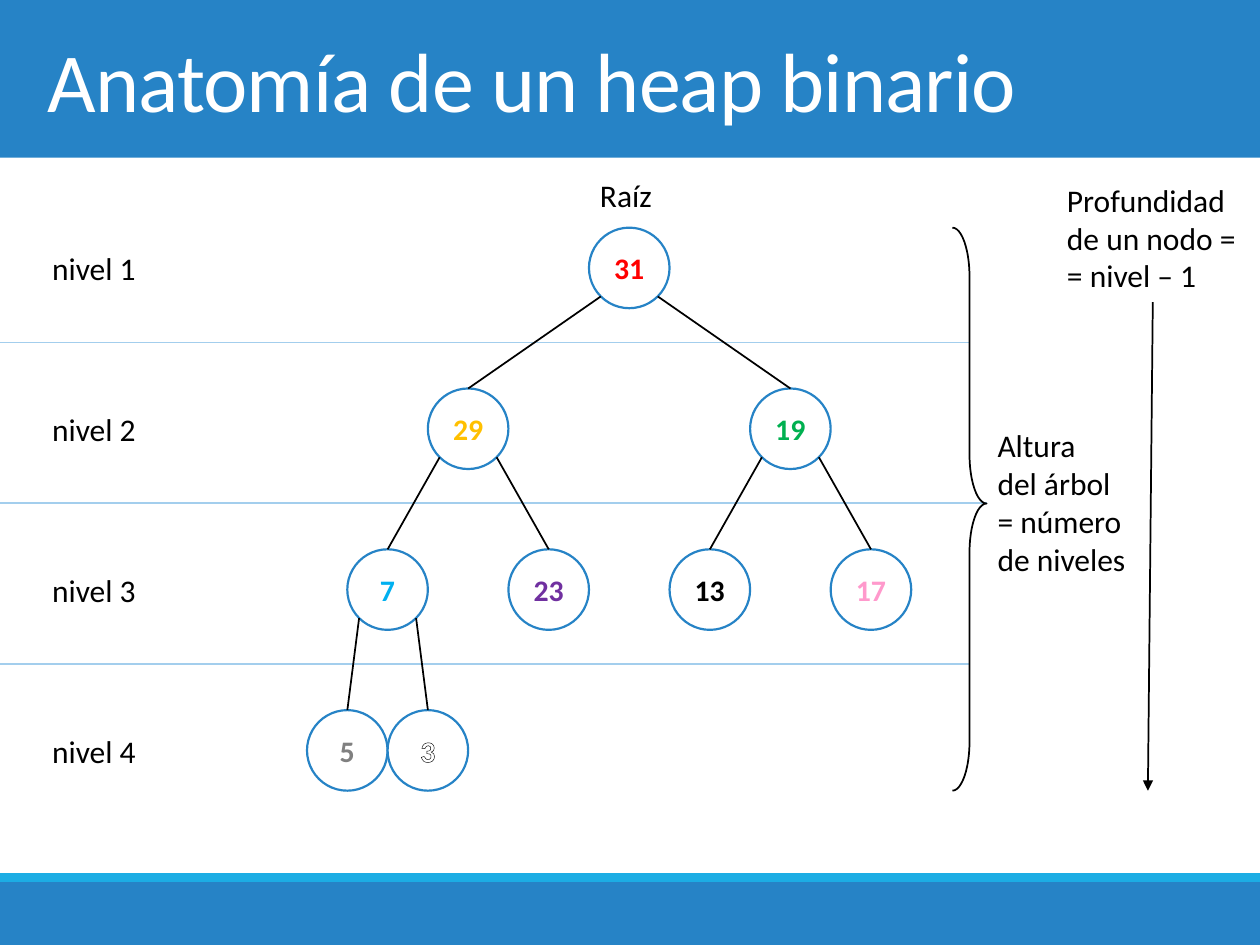
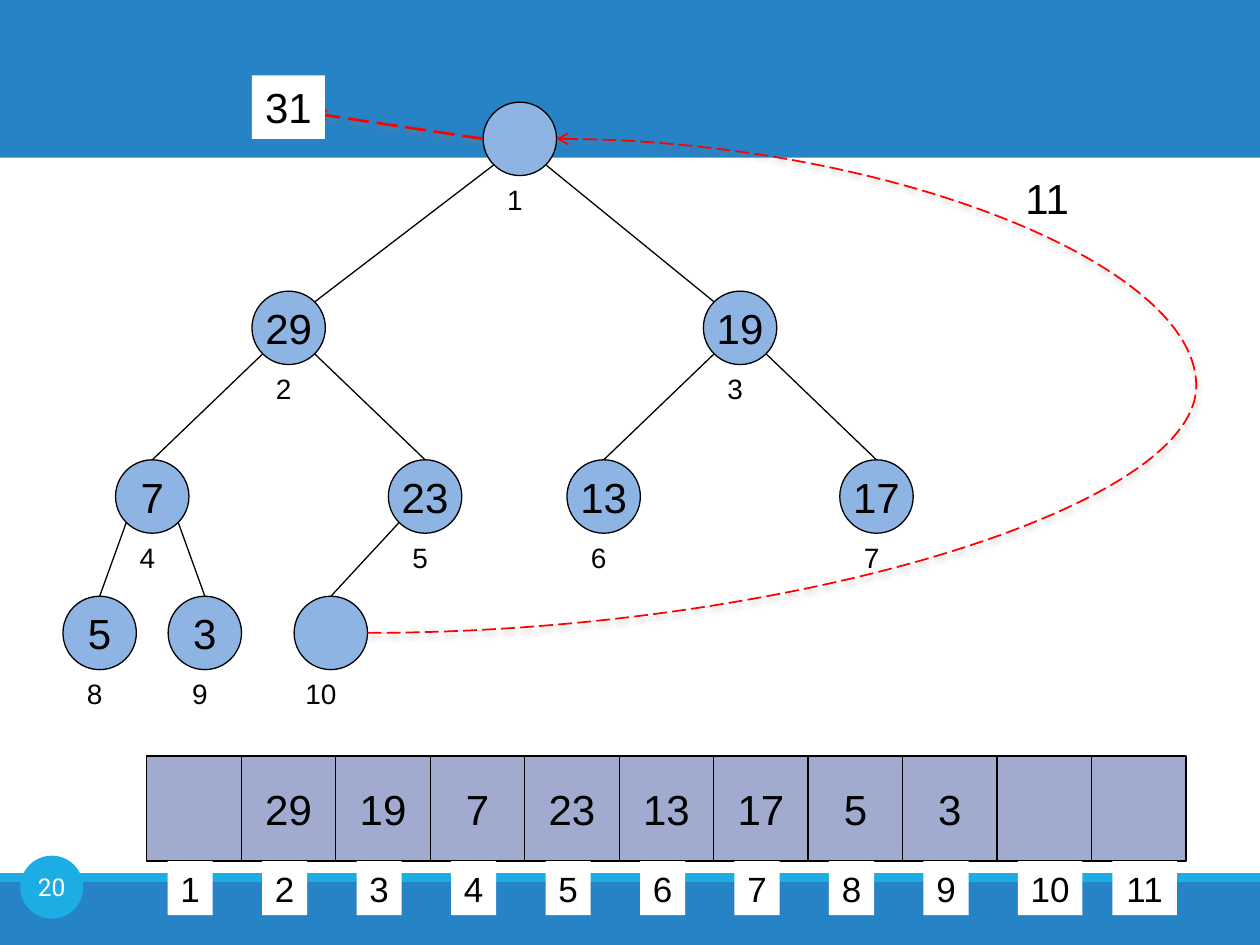
from collections import namedtuple
from math import sqrt

from lxml import etree
from pptx import Presentation
from pptx import util as u
from pptx.dml.color import RGBColor
from pptx.enum import dml, shapes, text
from pptx.oxml.ns import qn

# Shared colours and fonts
WHITE = RGBColor(0xFF, 0xFF, 0xFF)
BLACK = RGBColor(0, 0, 0)
BLUE = RGBColor(0x26, 0x83, 0xC6)
CYAN = RGBColor(0x1C, 0xAD, 0xE4)
LEVEL_BLUE = RGBColor(0xA3, 0xCE, 0xED)
NODE_BLUE = RGBColor(0x8E, 0xB4, 0xE3)
CELL_BLUE = RGBColor(0xA1, 0xAB, 0xD0)
RED = RGBColor(0xFF, 0, 0)
GREEN = RGBColor(0, 0xB0, 0x50)
AMBER = RGBColor(0xFF, 0xC0, 0)
SKY = RGBColor(0, 0xB0, 0xF0)
PURPLE = RGBColor(0x70, 0x30, 0xA0)
PINK = RGBColor(0xFF, 0x99, 0xCC)
GREY = RGBColor(0x80, 0x80, 0x80)
BODY_FONT, DIAGRAM_FONT, NUMBER_FONT = "Calibri", "Arial", "Roboto"

CENTER = text.PP_ALIGN.CENTER
MIDDLE = text.MSO_ANCHOR.MIDDLE
OVAL = shapes.MSO_SHAPE.OVAL
RECTANGLE = shapes.MSO_SHAPE.RECTANGLE
STRAIGHT = shapes.MSO_CONNECTOR.STRAIGHT
CURVE = shapes.MSO_CONNECTOR.CURVE

Box = namedtuple("Box", "left top width height")  # centimetres
Node = namedtuple("Node", "x y label color")  # centre in centimetres
SLIDE = Box(0, 0, 25.4, 19.05)


def cm(*lengths):
    return [u.Cm(length) for length in lengths]


def write(frame, content, size=18, font=BODY_FONT, color=BLACK, bold=False,
          align=None, anchor=None, wrap=False, inset=None):
    """Fill a text frame, one paragraph for each line of content."""
    frame.word_wrap = wrap
    frame.vertical_anchor = anchor
    if inset is not None:
        frame.margin_left = frame.margin_right = u.Cm(inset)
        frame.margin_top = frame.margin_bottom = u.Cm(inset)
    for number, line in enumerate(content.split("\n")):
        para = frame.add_paragraph() if number else frame.paragraphs[0]
        para.alignment = align
        span = para.add_run()
        span.text = line
        span.font.size, span.font.name = u.Pt(size), font
        span.font.color.rgb, span.font.bold = color, bold
    return frame.paragraphs[0].runs[0]


def add_text(page, box, content, **style):
    return write(page.shapes.add_textbox(*cm(*box)).text_frame, content, **style)


def add_figure(page, kind, box, fill=None, line=None, width=0.75):
    figure = page.shapes.add_shape(kind, *cm(*box))
    figure.shadow.inherit = False
    if fill is None:
        figure.fill.background()
    else:
        figure.fill.solid()
        figure.fill.fore_color.rgb = fill
    if line is None:
        figure.line.fill.background()
    else:
        figure.line.color.rgb = line
        figure.line.width = u.Pt(width)
    return figure


def add_label(page, box, content, **style):
    """A white rectangle with text."""
    label = add_figure(page, RECTANGLE, box, fill=WHITE)
    write(label.text_frame, content, align=CENTER, anchor=MIDDLE, **style)


def add_line(page, start, end, color=BLACK, width=1, kind=STRAIGHT, arrow=None,
             dashed=False, shadow=False):
    line = page.shapes.add_connector(kind, *cm(*start, *end))
    line.line.color.rgb = color
    line.line.width = u.Pt(width)
    if dashed:
        line.line.dash_style = dml.MSO_LINE.LONG_DASH
    properties = line.element.spPr
    if arrow:
        etree.SubElement(properties.find(qn("a:ln")), qn("a:tailEnd"), type=arrow)
    effects = etree.SubElement(properties, qn("a:effectLst"))
    if shadow:
        cast = etree.SubElement(effects, qn("a:outerShdw"), blurRad=str(u.Pt(3)),
                                dist=str(u.Pt(2)), dir="5400000", rotWithShape="0")
        tint = etree.SubElement(cast, qn("a:srgbClr"), val=str(GREY))
        etree.SubElement(tint, qn("a:alpha"), val="50000")
    return line


def outline_text(span, color, width):
    """Draw a line around the glyphs of a run."""
    properties = span.font.fill and span.font.color and span._r.get_or_add_rPr()
    line = etree.Element(qn("a:ln"), w=str(u.Pt(width)))
    fill = etree.SubElement(line, qn("a:solidFill"))
    etree.SubElement(fill, qn("a:srgbClr"), val=str(color))
    properties.insert(0, line)


def add_bands(page, box):
    """Header band, footer band and the thin strip above the footer."""
    for top, height, color in ((0, 3.18, BLUE), (17.78, 1.27, BLUE),
                               (17.6, 0.18, CYAN)):
        band = Box(box.left, box.top + top, box.width, height)
        add_figure(page, RECTANGLE, band, fill=color)


def add_title(page, box, content):
    span = add_text(page, box, content, size=48, color=WHITE, anchor=MIDDLE, wrap=True)
    span._r.get_or_add_rPr().set("spc", "-50")


def add_tree(page, nodes, diameter, fill, line, width, edge_width, text_style,
             side_joins=()):
    """Draw a heap in array order: the parent of node i is node i // 2."""
    corner = diameter / 2 / sqrt(2)
    spans = []
    for number, node in enumerate(nodes, 1):
        box = Box(node.x - diameter / 2, node.y - diameter / 2, diameter, diameter)
        circle = add_figure(page, OVAL, box, fill, line, width)
        if node.label:
            spans.append(write(circle.text_frame, node.label, color=node.color,
                               align=CENTER, anchor=MIDDLE, inset=0, **text_style))
        if number == 1:
            continue
        parent = nodes[number // 2 - 1]
        side = 1 if number % 2 else -1
        end = (node.x, node.y - diameter / 2)
        if number in side_joins:
            end = (node.x - side * corner, node.y - corner)
        start = (parent.x + side * corner, parent.y + corner)
        add_line(page, start, end, width=edge_width)
    return spans


def add_anatomy(page, box):
    """Heap on a grid of 15 half-node columns, with a row for each level."""
    columns = (8, 4, 12, 2, 6, 10, 14, 1, 3)
    values = (("31", RED), ("29", AMBER), ("19", GREEN), ("7", SKY),
              ("23", PURPLE), ("13", BLACK), ("17", PINK), ("5", GREY), ("3", WHITE))
    unit = box.width / 15
    diameter = 2 * unit
    step = (box.height - diameter) / 3
    rows = [box.top + unit + level * step for level in range(4)]

    # Level names and dividers
    for level, y in enumerate(rows):
        add_text(page, Box(0.8, y - 0.5, 2.21, 1.02), f"nivel {level + 1}")
        if level < 3:
            reach = 19.89 if level == 1 else 19.56
            add_line(page, (0, y + 1.5), (reach, y + 1.5), LEVEL_BLUE)

    # Nodes
    nodes = [Node(box.left + column * unit, rows[number.bit_length() - 1], *value)
             for number, (column, value) in enumerate(zip(columns, values), 1)]
    spans = add_tree(page, nodes, diameter, WHITE, BLUE, 1.25, 1,
                     dict(size=17, bold=True))
    outline_text(spans[-1], BLACK, 0.75)
    add_text(page, Box(nodes[0].x - 0.84, box.top - 1.17, 1.57, 1.02), "Raíz")


def add_measures(page, box):
    """Brace for the height of the tree and arrow for the depth of a node."""
    brace = add_figure(page, shapes.MSO_SHAPE.RIGHT_BRACE,
                       Box(box.left, box.top, 0.69, box.height), line=BLACK, width=1)
    brace.adjustments[0], brace.adjustments[1] = 1.44, 0.49
    add_text(page, Box(box.left + 0.66, box.top + 3.88, 3.12, 3.33),
             "Altura\ndel árbol\n= número\nde niveles")
    add_text(page, Box(box.left + 2.06, box.top - 1.07, 3.96, 2.57),
             "Profundidad\nde un nodo =\n= nivel – 1")
    add_line(page, (box.left + 4.04, box.top + 1.5),
             (box.left + 3.94, box.top + box.height), arrow="triangle")


def add_extraction(page, box):
    """Numbered heap whose root leaves and whose last node takes its place."""
    columns = (9.21, 4.55, 13.65, 1.8, 7.3, 10.9, 16.4, 0.74, 2.86, 5.4)
    rows = (0.74, 4.55, 7.95, 10.7)
    labels = ("", "29", "19", "7", "23", "13", "17", "5", "3", "")
    diameter = 1.48
    radius = diameter / 2
    nodes = [Node(box.left + x, box.top + rows[number.bit_length() - 1], label, BLACK)
             for number, (x, label) in enumerate(zip(columns, labels), 1)]
    add_tree(page, nodes, diameter, NODE_BLUE, BLACK, 0.75, 0.75,
             dict(size=24, font=DIAGRAM_FONT), side_joins=(2, 3))

    # Positions under the nodes
    for number, node in enumerate(nodes, 1):
        digits = len(str(number))
        width = 0.54 + 0.3 * digits
        place = Box(node.x - 0.1 * digits - width / 2, node.y + radius + 0.02, width, 0.94)
        add_text(page, place, str(number), size=16, font=DIAGRAM_FONT, align=CENTER)

    # Moves: the root goes out, the last node goes up
    root, last = nodes[0], nodes[-1]
    add_line(page, (root.x - radius, root.y), (box.left + 5.08, box.top + 0.23), RED,
             1.5, arrow="arrow", dashed=True, shadow=True)
    curve = add_line(page, (last.x + radius, last.y), (root.x + radius, root.y), RED,
                     kind=CURVE, arrow="arrow", dashed=True, shadow=True)
    guides = curve.element.spPr.find(qn("a:prstGeom")).get_or_add_avLst()
    etree.SubElement(guides, qn("a:gd"), name="adj1", fmla="val 438500")
    add_label(page, Box(box.left + 3.81, box.top - 0.54, 1.47, 1.28), "31",
              size=24, font=DIAGRAM_FONT)
    add_text(page, Box(box.left + 19.15, box.top + 1.29, 1.4, 1.28), "11",
             size=24, font=DIAGRAM_FONT)


def add_array(page, box, values):
    """A row of equal cells with their positions below."""
    width = box.width / len(values)
    for number, value in enumerate(values, 1):
        left = box.left + (number - 1) * width
        cell = add_figure(page, RECTANGLE, Box(left, box.top, width, box.height),
                          CELL_BLUE, BLACK)
        if value:
            write(cell.text_frame, value, size=24, font=DIAGRAM_FONT,
                  align=CENTER, anchor=MIDDLE)
        label_width = 0.52 + 0.39 * len(str(number))
        add_label(page, Box(left + 0.42, box.top + box.height, label_width, 1.09),
                  str(number), size=20, font=DIAGRAM_FONT)


def add_page_number(page, box, number):
    badge = add_figure(page, OVAL, box, fill=CYAN)
    write(badge.text_frame, number, size=14, font=NUMBER_FONT, color=WHITE,
          align=CENTER, anchor=MIDDLE, inset=0)


def add_page(deck):
    page = deck.slides.add_slide(deck.slide_layouts[6])
    add_bands(page, SLIDE)
    return page


deck = Presentation()
deck.slide_width, deck.slide_height = cm(SLIDE.width, SLIDE.height)

# Slide 1: parts of a binary heap
page = add_page(deck)
add_title(page, Box(0.71, 0, 24, 3.18), "Anatomía de un heap binario")
add_anatomy(page, Box(6.19, 4.59, 12.18, 11.35))
add_measures(page, Box(19.2, 4.59, 6.02, 11.35))

# Slide 2: extraction of the root
page = add_page(deck)
add_extraction(page, Box(1.27, 2.06, 22.86, 12.38))
add_page_number(page, Box(0.41, 17.25, 1.27, 1.27), "20")
add_array(page, Box(2.96, 15.24, 20.95, 2.12),
          ("", "29", "19", "7", "23", "13", "17", "5", "3", "", ""))

deck.save("out.pptx")
